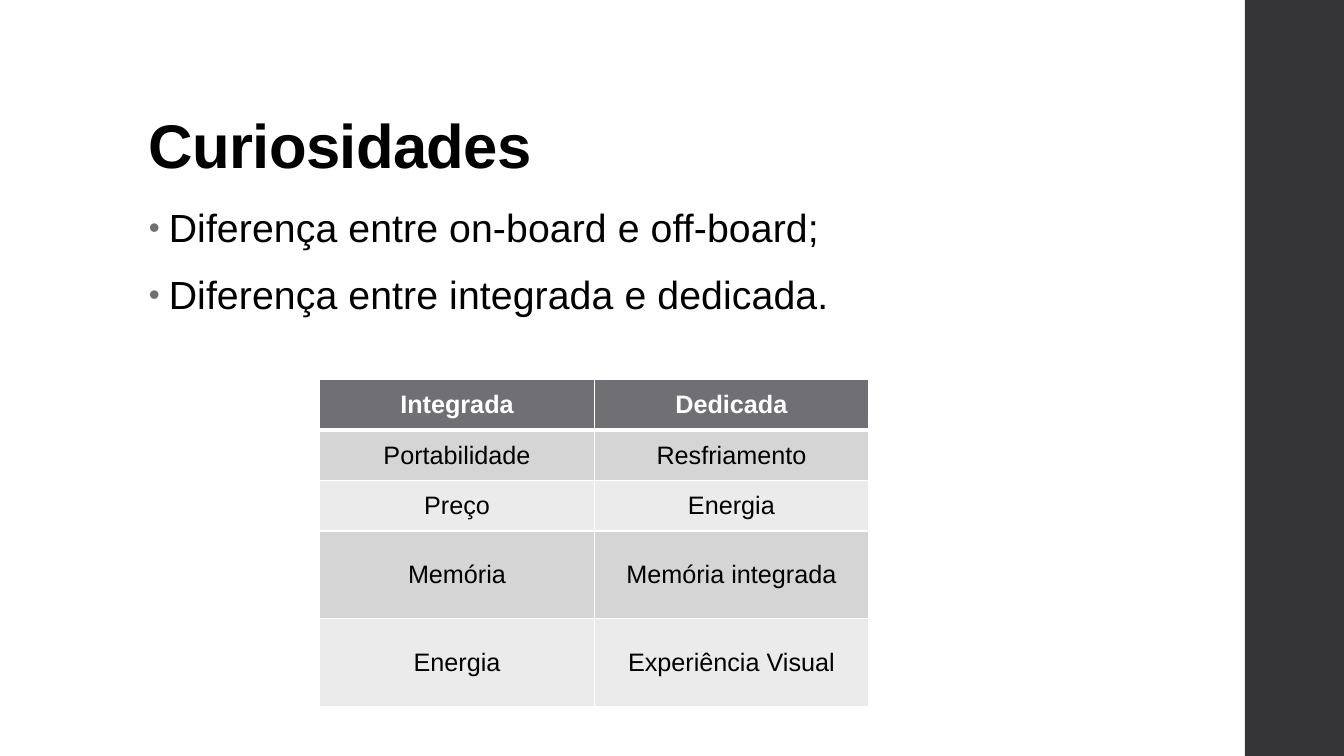
from lxml.etree import SubElement
from pptx import Presentation
from pptx.dml.color import RGBColor
from pptx.enum.shapes import MSO_SHAPE
from pptx.enum.text import MSO_ANCHOR, MSO_AUTO_SIZE, PP_ALIGN
from pptx.oxml.ns import qn
from pptx.util import Cm, Pt

BLACK = RGBColor(0x00, 0x00, 0x00)
WHITE = RGBColor(0xFF, 0xFF, 0xFF)
DARK = RGBColor(0x35, 0x35, 0x37)
GRAY = RGBColor(0x6F, 0x6F, 0x74)
BANDS = RGBColor(0xD5, 0xD5, 0xD6), RGBColor(0xEB, 0xEB, 0xEB)

TOPICS = ["Diferença entre on-board e off-board;",
          "Diferença entre integrada e dedicada."]
ROWS = [("Integrada", "Dedicada"),
        ("Portabilidade", "Resfriamento"),
        ("Preço", "Energia"),
        ("Memória", "Memória integrada"),
        ("Energia", "Experiência Visual")]
ROW_HEIGHTS = [1.27, 1.27, 1.27, 2.21, 2.21]


def write(p, text, size=18, color=BLACK, bold=False, align=PP_ALIGN.LEFT,
          line=None, tracking=0):
    p.alignment = align
    p.line_spacing = line
    r = p.add_run()
    r.text = text
    r.font.name = "Arial"
    r.font.size = Pt(size)
    r.font.bold = bold
    r.font.color.rgb = color
    if tracking:
        r.font._element.set("spc", str(int(tracking * 100)))


def place(sp, left, top, width, height):
    sp.left, sp.top, sp.width, sp.height = map(Cm, (left, top, width, height))


def add_bullet(p):
    pPr = p._p.get_or_add_pPr()
    pPr.set("marL", str(Cm(0.5)))
    pPr.set("indent", str(-Cm(0.5)))
    color = SubElement(pPr, qn("a:buClr"))
    SubElement(color, qn("a:srgbClr"), val=str(GRAY))
    SubElement(pPr, qn("a:buSzPct"), val="80000")
    SubElement(pPr, qn("a:buFont"), typeface="Arial")
    SubElement(pPr, qn("a:buChar"), char="•")


def add_borders(cell, **widths):
    tcPr = cell._tc.get_or_add_tcPr()
    for side in "LRTB":
        ln = SubElement(tcPr, qn("a:ln" + side), w=str(Pt(widths.get(side, 1))))
        fill = SubElement(ln, qn("a:solidFill"))
        SubElement(fill, qn("a:srgbClr"), val=str(WHITE))


def add_side_bar(s, left, top, width, height):
    sp = s.shapes.add_shape(MSO_SHAPE.RECTANGLE, Cm(left), Cm(top),
                            Cm(width), Cm(height))
    sp.shadow.inherit = False
    sp.fill.solid()
    sp.fill.fore_color.rgb = DARK
    sp.line.fill.background()


def add_title(s, text, *box):
    sp = s.shapes.title
    place(sp, *box)
    tf = sp.text_frame
    tf.auto_size = MSO_AUTO_SIZE.NONE
    tf.vertical_anchor = MSO_ANCHOR.BOTTOM
    write(tf.paragraphs[0], text, size=44, bold=True, line=0.9, tracking=-0.5)


def add_topics(s, topics, *box):
    sp = s.placeholders[1]
    place(sp, *box)
    tf = sp.text_frame
    tf.auto_size = MSO_AUTO_SIZE.NONE
    for i, topic in enumerate(topics):
        p = tf.add_paragraph() if i else tf.paragraphs[0]
        write(p, topic, size=28, line=0.95, tracking=0.1)
        p.space_before, p.space_after = Pt(14), Pt(2)
        add_bullet(p)


def add_comparison(s, rows, left, top, width):
    table = s.shapes.add_table(len(rows), len(rows[0]), Cm(left), Cm(top),
                               Cm(width), Cm(sum(ROW_HEIGHTS))).table
    for i, (texts, height) in enumerate(zip(rows, ROW_HEIGHTS)):
        header = i == 0
        table.rows[i].height = Cm(height)
        for j, text in enumerate(texts):
            cell = table.cell(i, j)
            add_borders(cell, T=3 if i == 1 else 1, B=3 if header else 1)
            cell.fill.solid()
            cell.fill.fore_color.rgb = GRAY if header else BANDS[(i - 1) % 2]
            cell.vertical_anchor = MSO_ANCHOR.MIDDLE
            write(cell.text_frame.paragraphs[0], text, bold=header,
                  color=WHITE if header else BLACK, align=PP_ALIGN.CENTER)


def main():
    prs = Presentation()
    prs.slide_width, prs.slide_height = Cm(33.87), Cm(19.05)
    s = prs.slides.add_slide(prs.slide_layouts[1])
    s.background.fill.solid()
    s.background.fill.fore_color.rgb = WHITE
    add_side_bar(s, 31.37, 0, 2.5, 19.05)
    add_title(s, "Curiosidades", 3.5, 1.02, 26.92, 3.68)
    add_topics(s, TOPICS, 3.5, 5.08, 23.88, 7.09)
    add_comparison(s, ROWS, 8.06, 9.57, 13.83)
    prs.save("out.pptx")


if __name__ == "__main__":
    main()
